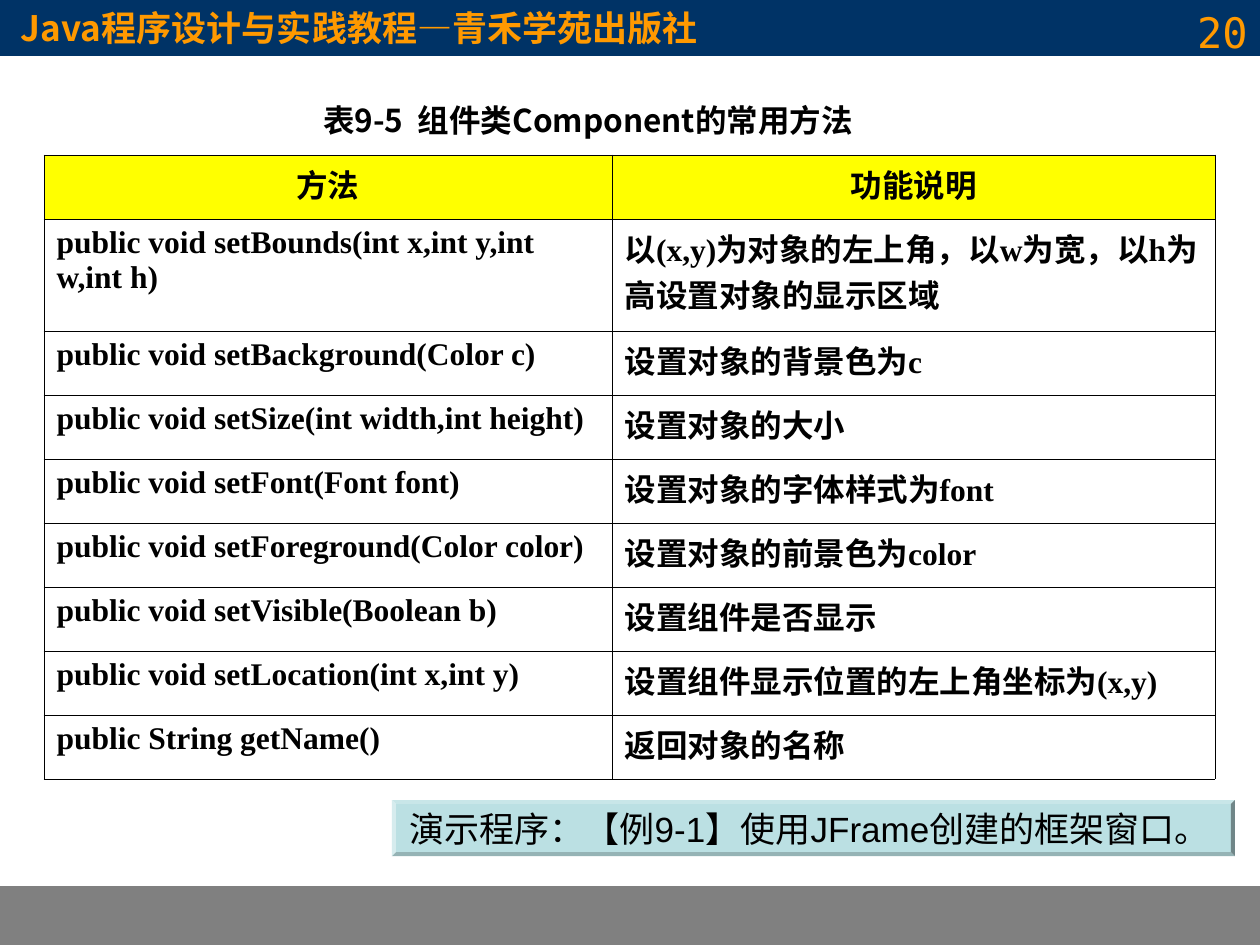
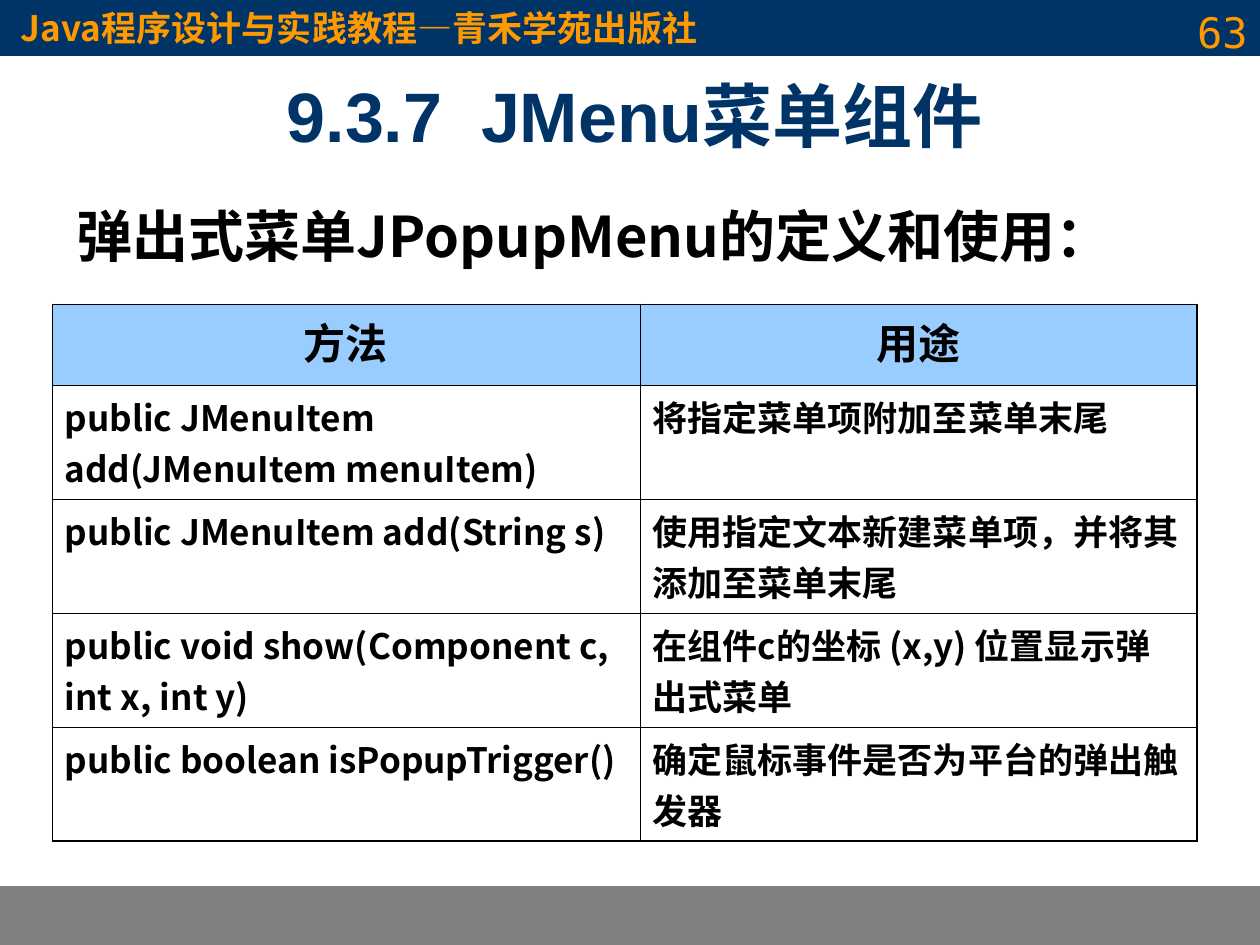
from lxml import etree
from pptx import Presentation
from pptx.dml.color import RGBColor
from pptx.enum.shapes import MSO_SHAPE
from pptx.enum.text import MSO_ANCHOR, PP_ALIGN
from pptx.oxml.ns import qn
from pptx.util import Pt

# Shared measures, fonts and colours
PX = 914400 / 126
WIDE, HIGH = 1260, 945
RECT, BEVEL = MSO_SHAPE.RECTANGLE, MSO_SHAPE.BEVEL
LEFT, MID, RIGHT = PP_ALIGN.LEFT, PP_ALIGN.CENTER, PP_ALIGN.RIGHT
TOP, CENTRE = MSO_ANCHOR.TOP, MSO_ANCHOR.MIDDLE
NOTO, ARIAL = "Noto Sans CJK SC", "Arial"
TIMES, MONO = "Times New Roman", "DejaVu Sans Mono"
NAVY, GOLD, GREY, BLACK = "003366", "FF9900", "808080", "000000"
YELLOW, SKY, AQUA = "FFFF00", "99CCFF", "BBE0E3"
THIN, THICK = 0.45, 1.08
COURSE = "Java程序设计与实践教程—青禾学苑出版社"

# Slide content
METHODS = [
    ("方法", "功能说明"),
    ("public void setBounds(int x,int y,int w,int h)",
     "以(x,y)为对象的左上角，以w为宽，以h为高设置对象的显示区域"),
    ("public void setBackground(Color c)", "设置对象的背景色为c"),
    ("public void setSize(int width,int height)", "设置对象的大小"),
    ("public void setFont(Font font)", "设置对象的字体样式为font"),
    ("public void setForeground(Color color)", "设置对象的前景色为color"),
    ("public void setVisible(Boolean b)", "设置组件是否显示"),
    ("public void setLocation(int x,int y)", "设置组件显示位置的左上角坐标为(x,y)"),
    ("public String getName()", "返回对象的名称"),
]
POPUP = [
    ("方法", "用途"),
    ("public JMenuItem add(JMenuItem menuItem)", "将指定菜单项附加至菜单末尾"),
    ("public JMenuItem add(String s)", "使用指定文本新建菜单项，并将其添加至菜单末尾"),
    ("public void show(Component c, int x, int y)",
     "在组件c的坐标 (x,y) 位置显示弹出式菜单"),
    ("public boolean isPopupTrigger()", "确定鼠标事件是否为平台的弹出触发器"),
]


def px(n):
    return round(n * PX)


def tint(code):
    return RGBColor.from_string(code)


def write(frame, text, size, font, hue=BLACK, bold=True, align=LEFT):
    """Fill a text frame with one styled paragraph."""
    frame.text = text
    para = frame.paragraphs[0]
    para.alignment = align
    for run in para.runs:
        run.font.size, run.font.bold, run.font.name = Pt(size), bold, font
        run.font.color.rgb = tint(hue)
        east = etree.SubElement(run.font._element, qn("a:ea"))
        east.set("typeface", NOTO)


def add_text(slide, place, text, size, font, anchor=TOP, wrap=True, **style):
    box = slide.shapes.add_textbox(*map(px, place))
    frame = box.text_frame
    frame.word_wrap, frame.vertical_anchor = wrap, anchor
    write(frame, text, size, font, **style)


def add_block(slide, kind, place, fill, line=None):
    block = slide.shapes.add_shape(kind, *map(px, place))
    block.shadow.inherit = False
    block.fill.solid()
    block.fill.fore_color.rgb = tint(fill)
    if line:
        block.line.color.rgb = tint(line)
        block.line.width = Pt(0.75)
    else:
        block.line.fill.background()
    return block


def add_edge(cell, side, width):
    edge = etree.SubElement(cell._tc.get_or_add_tcPr(), qn(f"a:ln{side}"))
    edge.set("w", str(Pt(width)))
    fill = etree.SubElement(edge, qn("a:solidFill"))
    etree.SubElement(fill, qn("a:srgbClr")).set("val", BLACK)


def add_grid(slide, left, top, cols, rows, data, font, sizes, fill, rim=THIN):
    """Draw a table with a coloured head row; rim is the right and bottom line."""
    last_row, last_col = len(rows) - 1, len(cols) - 1
    area = map(px, (left, top, sum(cols), sum(rows)))
    table = slide.shapes.add_table(len(rows), len(cols), *area).table
    table.first_row = table.horz_banding = False
    for col, width in zip(table.columns, cols):
        col.width = px(width)
    for row, height in zip(table.rows, rows):
        row.height = px(height)
    for r, texts in enumerate(data):
        head = r == 0
        for c, text in enumerate(texts):
            cell = table.cell(r, c)
            heavy = {"L": False, "R": c == last_col, "T": False, "B": r == last_row}
            for side, is_rim in heavy.items():
                add_edge(cell, side, rim if is_rim else THIN)
            if head:
                cell.fill.solid()
                cell.fill.fore_color.rgb = tint(fill)
            else:
                cell.fill.background()
            write(cell.text_frame, text, sizes[0 if head else 1], font,
                  align=MID if head else LEFT)


def add_page(deck, number):
    """Start a slide with its footer, course band and page number."""
    slide = deck.slides.add_slide(deck.slide_layouts[6])
    add_block(slide, RECT, (0, 886, WIDE, 59), GREY)
    band = add_block(slide, RECT, (0, 0, WIDE, 55), NAVY, NAVY)
    band.text_frame.margin_left = px(21)
    band.text_frame.vertical_anchor = CENTRE
    write(band.text_frame, COURSE, 20, NOTO, GOLD)
    add_text(slide, (966, 0, 294, 66), number, 24, MONO,
             hue=GOLD, bold=False, align=RIGHT)
    return slide


def add_demo(slide, text):
    demo = add_block(slide, BEVEL, (392, 800, 843, 56), AQUA)
    demo.adjustments[0] = 0.07
    frame = demo.text_frame
    frame.word_wrap, frame.vertical_anchor = False, CENTRE
    frame.margin_right = px(20)
    write(frame, text, 20, ARIAL, bold=False, align=MID)


def main():
    deck = Presentation()
    deck.slide_width, deck.slide_height = px(WIDE), px(HIGH)

    # Component methods
    slide = add_page(deck, "20")
    add_text(slide, (286, 95, 604, 50), "表9-5  组件类Component的常用方法", 18, NOTO,
             anchor=CENTRE, wrap=False, align=MID)
    add_grid(slide, 44, 155, [568, 603], [64, 112] + [64] * 7,
             METHODS, TIMES, (18, 18), YELLOW)
    add_demo(slide, "演示程序：【例9-1】使用JFrame创建的框架窗口。")

    # Popup menu
    slide = add_page(deck, "63")
    add_text(slide, (72, 73, 1125, 82), "9.3.7  JMenu菜单组件", 40, ARIAL,
             anchor=CENTRE, hue=NAVY, align=MID)
    add_text(slide, (64, 195, 1142, 100), "弹出式菜单JPopupMenu的定义和使用：", 32, NOTO)
    add_grid(slide, 52, 304, [588, 557], [81] + [114] * 4,
             POPUP, NOTO, (24, 20), SKY, THICK)

    deck.save("out.pptx")


if __name__ == "__main__":
    main()
